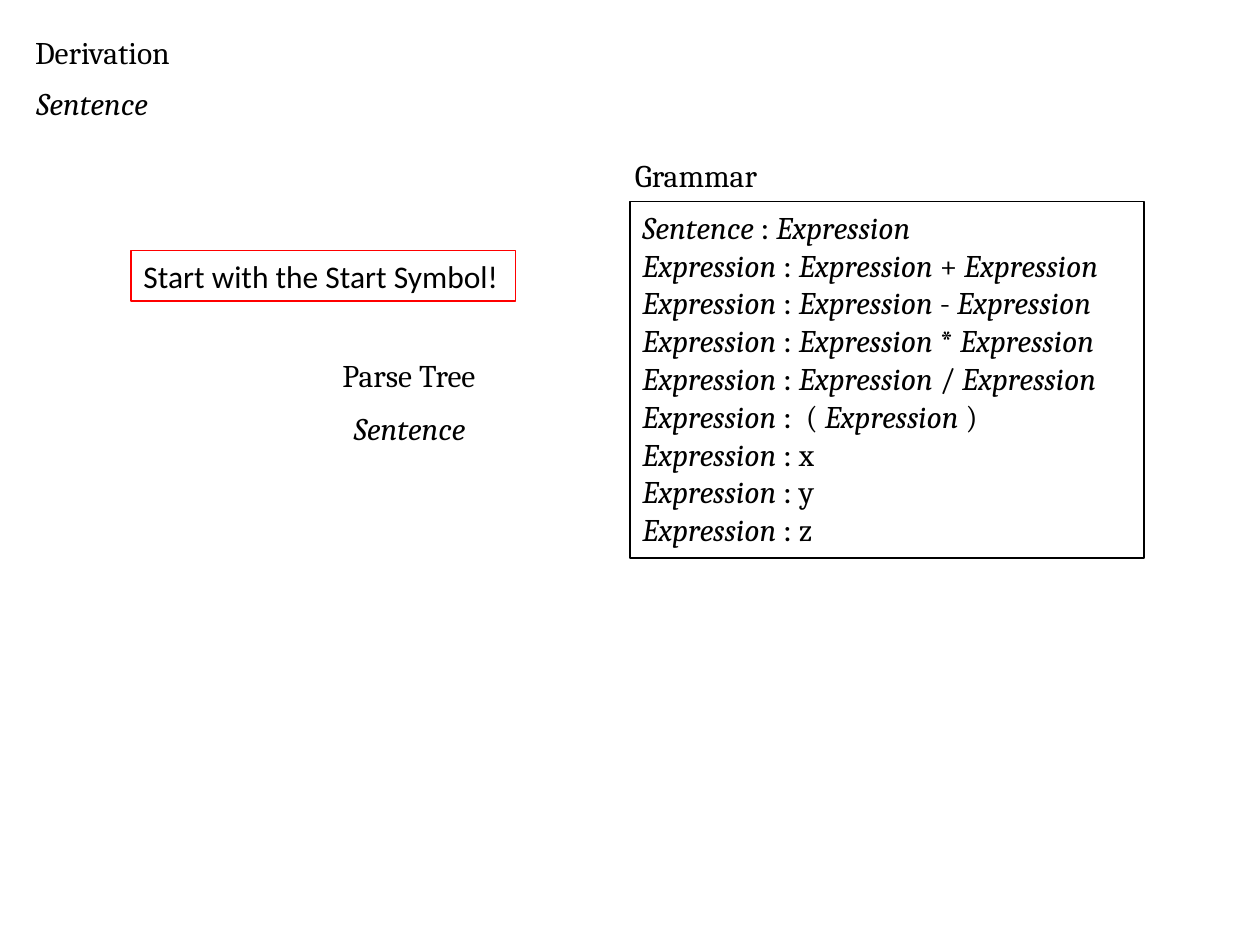
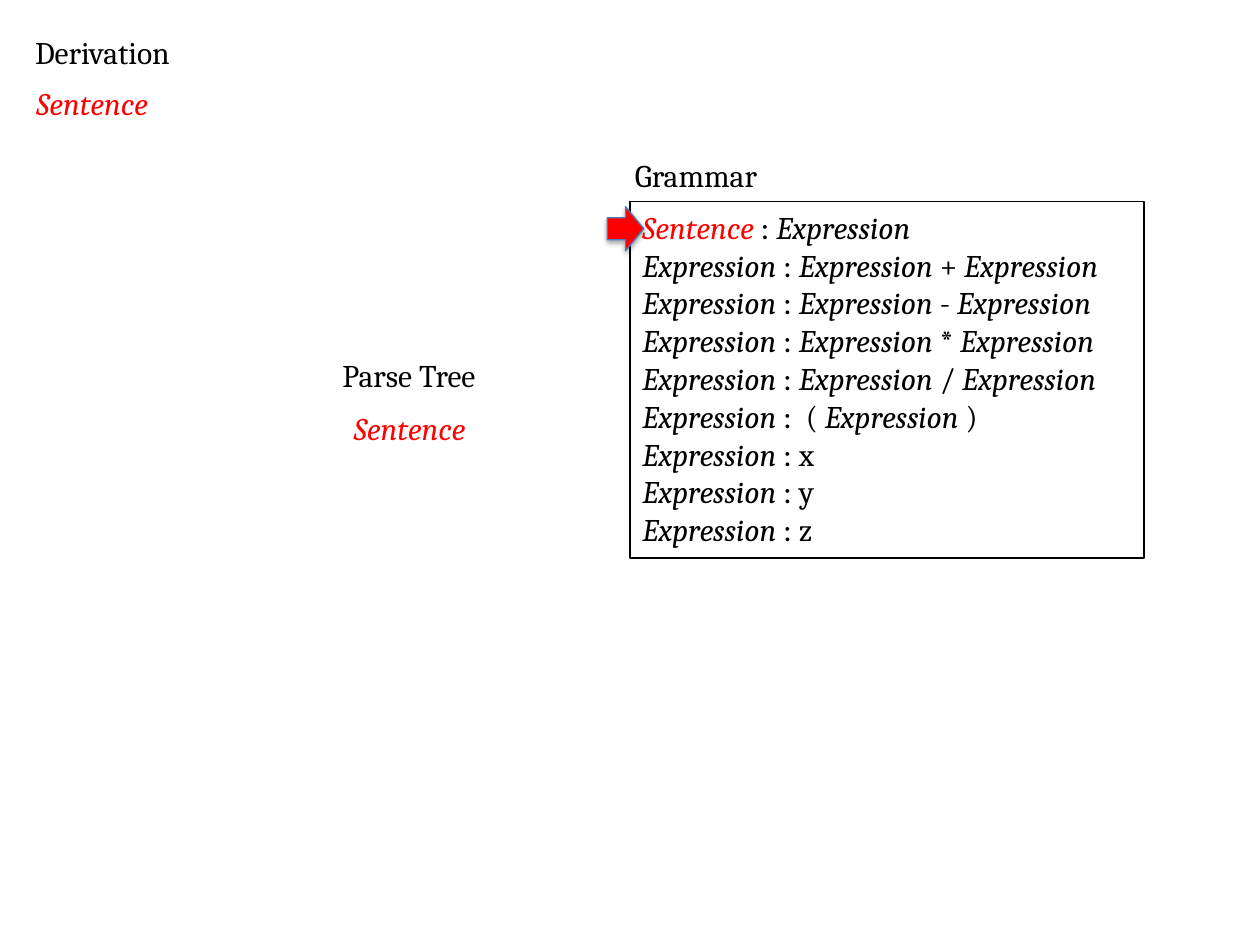
import pptx
import pptx.util
import pptx.dml.color
import pptx.enum.shapes
import pptx.enum.text
import pptx.oxml
import pptx.oxml.ns

COLORS = {"ink": "000000", "active": "FF0000", "arrow_edge": "4B7EBC"}
FONTS = {"symbol": "Cambria", "prose": "Calibri"}
SLIDE_SIZE = (10, 7.5)
TEXT_SIZE = 18
LINE_WIDTH = 0.75
ROW = 0.4

START, EXPR = "Sentence", "Expression"
NONTERMINALS = {START, EXPR}
GRAMMAR = [
    (START, [EXPR]),
    *[(EXPR, [EXPR, operator, EXPR]) for operator in "+-*/"],
    (EXPR, [" (", EXPR, ")"]),
    *[(EXPR, [name]) for name in "xyz"],
]
HEADINGS = [
    ("Grammar", (4.94, 1.19, 1.17, ROW)),
    ("Derivation", (0.18, 0.21, 1.28, ROW)),
    ("Parse Tree", (2.62, 2.78, 1.26, ROW)),
]
START_SYMBOLS = [(2.71, 3.2, 1.17, ROW), (0.19, 0.62, 1.17, ROW)]
GRAMMAR_BOX = (5, 1.6, 4.08, 2.83)
HINT_BOX = (1.04, 1.99, 3.05, ROW)
ARROW_BOX = (4.82, 1.64, 0.29, 0.35)
STEPS = [
    {"hint": "Start with the Start Symbol!", "start_color": "ink", "arrow": False},
    {"hint": None, "start_color": "active", "arrow": True},
]
ARROW_SHADOW = (
    '<a:effectLst %s><a:outerShdw blurRad="%d" dist="%d" dir="5400000" rotWithShape="0">'
    '<a:srgbClr val="%s"><a:alpha val="35000"/></a:srgbClr></a:outerShdw></a:effectLst>'
)


def rgb(color):
    return pptx.dml.color.RGBColor.from_string(COLORS[color])


def inches(box):
    return [pptx.util.Inches(length) for length in box]


def outline(shape, color):
    shape.line.color.rgb = rgb(color)
    shape.line.width = pptx.util.Pt(LINE_WIDTH)


def piece(text, font="symbol", color="ink", italic=False):
    return text, color, {"name": FONTS[font], "size": pptx.util.Pt(TEXT_SIZE), "italic": italic}


def add_text(slide, box, lines, border=None):
    text_box = slide.shapes.add_textbox(*inches(box))
    frame = text_box.text_frame
    frame.word_wrap = False
    frame.auto_size = pptx.enum.text.MSO_AUTO_SIZE.SHAPE_TO_FIT_TEXT
    for index, pieces in enumerate(lines):
        paragraph = frame.add_paragraph() if index else frame.paragraphs[0]
        for text, color, style in pieces:
            run = paragraph.add_run()
            run.text = text
            run.font.color.rgb = rgb(color)
            for attribute, value in style.items():
                setattr(run.font, attribute, value)
    if border:
        outline(text_box, border)


def rule_pieces(head, body, start_color):
    head_color = start_color if head == START else "ink"
    pieces = [piece(head + " ", color=head_color, italic=True), piece(": ", "prose")]
    for position, symbol in enumerate(body, 1):
        gap = " " if position < len(body) else ""
        pieces.append(piece(symbol + gap, italic=symbol in NONTERMINALS))
    return pieces


def add_arrow(slide):
    arrow = slide.shapes.add_shape(
        pptx.enum.shapes.MSO_SHAPE.RIGHT_ARROW, *inches(ARROW_BOX))
    arrow.fill.solid()
    arrow.fill.fore_color.rgb = rgb("active")
    outline(arrow, "arrow_edge")
    shadow = ARROW_SHADOW % (
        pptx.oxml.ns.nsdecls("a"), pptx.util.Pt(3.1), pptx.util.Pt(1.8), COLORS["ink"])
    arrow._element.spPr.append(pptx.oxml.parse_xml(shadow))


def add_step(deck, step):
    slide = deck.slides.add_slide(deck.slide_layouts[6])
    start_color = step["start_color"]
    for heading, box in HEADINGS:
        add_text(slide, box, [[piece(heading)]])
    for box in START_SYMBOLS:
        add_text(slide, box, [[piece(START, color=start_color, italic=True)]])
    rules = [rule_pieces(head, body, start_color) for head, body in GRAMMAR]
    add_text(slide, GRAMMAR_BOX, rules, border="ink")
    if step["hint"]:
        add_text(slide, HINT_BOX, [[piece(step["hint"], "prose")]], border="active")
    if step["arrow"]:
        add_arrow(slide)


def main():
    deck = pptx.Presentation()
    deck.slide_width, deck.slide_height = inches(SLIDE_SIZE)
    for step in STEPS:
        add_step(deck, step)
    deck.save("out.pptx")


if __name__ == "__main__":
    main()
